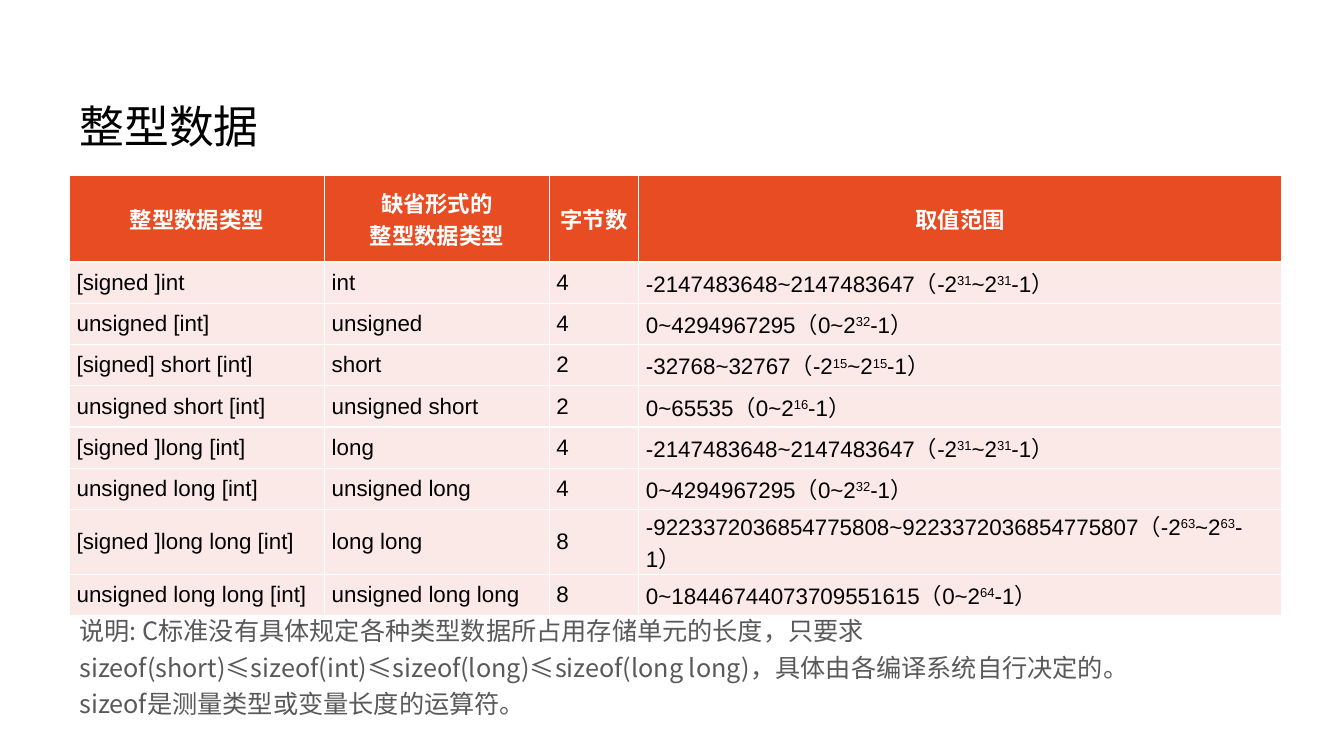
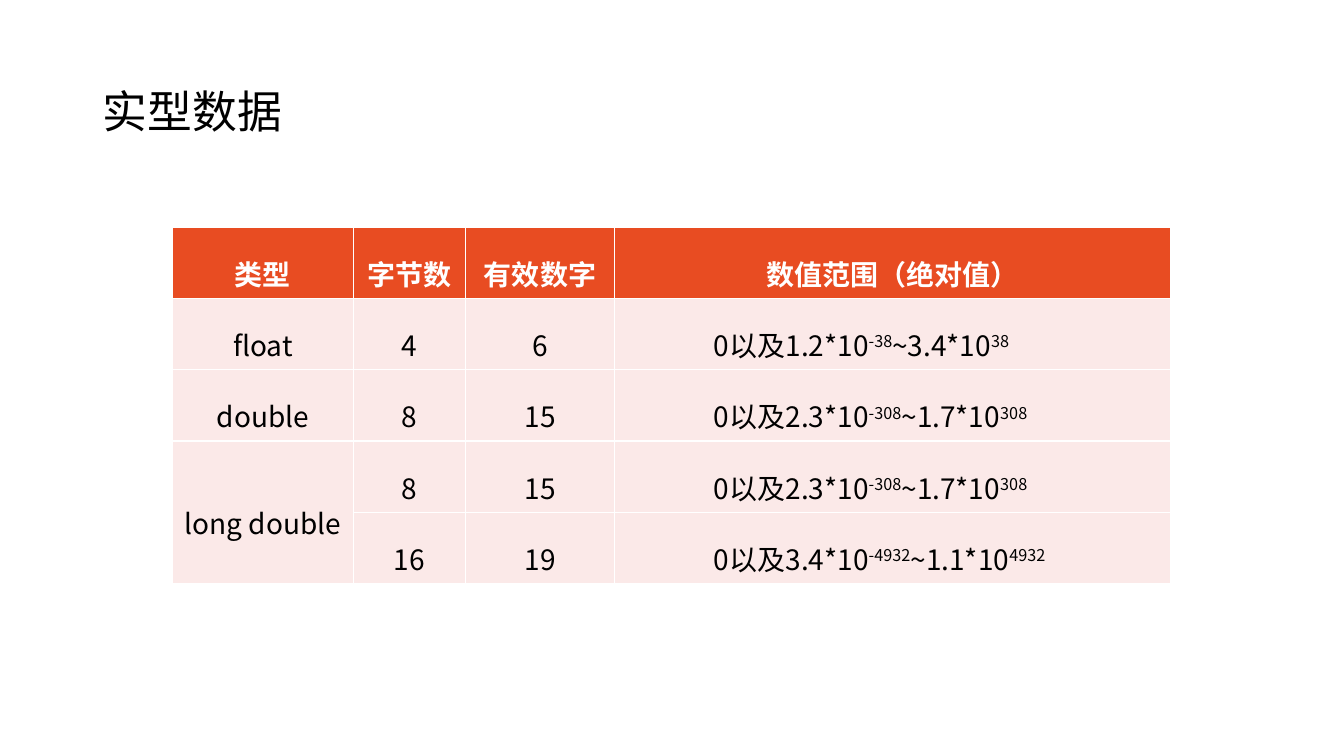
from lxml import etree
from pptx import Presentation
from pptx.dml.color import RGBColor
from pptx.enum.text import MSO_ANCHOR, PP_ALIGN
from pptx.oxml.ns import qn
from pptx.util import Cm, Pt

LEFT, CENTER, JUSTIFY = PP_ALIGN.LEFT, PP_ALIGN.CENTER, PP_ALIGN.JUSTIFY
MIDDLE = MSO_ANCHOR.MIDDLE

WHITE = RGBColor(0xFF, 0xFF, 0xFF)
BLACK = RGBColor(0x00, 0x00, 0x00)
GRAY = RGBColor(0x59, 0x59, 0x59)
ORANGE = RGBColor(0xE8, 0x4C, 0x22)
PINK = RGBColor(0xFB, 0xE9, 0xE8)

SANS = "Noto Sans CJK SC"
ARIAL = "Arial"
SUPERSCRIPT = "30000"
ROW_HEIGHT = 1.04

# Text between bars is superscript.
INTEGER_ROWS = [
    ["整型数据类型", "缺省形式的\n整型数据类型", "字节数", "取值范围"],
    ["[signed ]int", "int", "4", "-2147483648~2147483647（-2|31|~2|31|-1）"],
    ["unsigned [int]", "unsigned", "4", "0~4294967295（0~2|32|-1）"],
    ["[signed] short [int]", "short", "2", "-32768~32767（-2|15|~2|15|-1）"],
    ["unsigned short [int]", "unsigned short", "2", "0~65535（0~2|16|-1）"],
    ["[signed ]long [int]", "long", "4", "-2147483648~2147483647（-2|31|~2|31|-1）"],
    ["unsigned long [int]", "unsigned long", "4", "0~4294967295（0~2|32|-1）"],
    ["[signed ]long long [int]", "long long", "8",
     "-9223372036854775808~9223372036854775807（-2|63|~2|63|-1）"],
    ["unsigned long long [int]", "unsigned long long", "8",
     "0~18446744073709551615（0~2|64|-1）"],
]
REAL_ROWS = [
    ["类型", "字节数", "有效数字", "数值范围（绝对值）"],
    ["float", "4", "6", "0以及1.2*10|-38|~3.4*10|38|"],
    ["double", "8", "15", "0以及2.3*10|-308|~1.7*10|308|"],
    ["long double", "8", "15", "0以及2.3*10|-308|~1.7*10|308|"],
    ["", "16", "19", "0以及3.4*10|-4932|~1.1*10|4932|"],
]
NOTE = (
    "说明: C标准没有具体规定各种类型数据所占用存储单元的长度，只要求"
    "sizeof(short)≤sizeof(int)≤sizeof(long)≤sizeof(long long)，"
    "具体由各编译系统自行决定的。\n"
    "sizeof是测量类型或变量长度的运算符。"
)


class DataTypeDeck:
    """Holds the presentation, its text style and the current page."""

    def __init__(self):
        self.deck = Presentation()
        self.deck.slide_width, self.deck.slide_height = Cm(33.87), Cm(19.05)
        self.page = None

    def set_text(self, frame, text, size, color, font=SANS, bold=False,
                 align=LEFT, spacing=1.0):
        """Fill a text frame: a line per paragraph, superscript between bars."""
        for number, line in enumerate(text.split("\n")):
            para = frame.add_paragraph() if number else frame.paragraphs[0]
            para.alignment, para.line_spacing = align, spacing
            para.font.size, para.font.bold = Pt(size), bold
            para.font.color.rgb = color
            para.font.name = font
            latin = para.font._element.find(qn("a:latin"))
            east_asian = etree.Element(qn("a:ea"), typeface=SANS)
            latin.addnext(east_asian)
            for index, part in enumerate(line.split("|")):
                if not part:
                    continue
                span = para.add_run()
                span.text = part
                if index % 2:
                    span.font._element.set("baseline", SUPERSCRIPT)

    def add_page(self, title, left, top):
        self.page = self.deck.slides.add_slide(self.deck.slide_layouts[5])
        box = self.page.shapes.title
        box.left, box.top = Cm(left), Cm(top)
        box.width, box.height = Cm(29.21), Cm(3.68)
        box.text_frame.vertical_anchor = MIDDLE
        self.set_text(box.text_frame, title, 32, BLACK, spacing=0.9)

    def add_note(self, text, left, top, width, height):
        box = self.page.shapes.add_textbox(Cm(left), Cm(top), Cm(width), Cm(height))
        box.text_frame.word_wrap = True
        self.set_text(box.text_frame, text, 18, GRAY, spacing=1.2)

    def add_table(self, rows, left, top, widths, aligns, size, font=SANS,
                  spacing=1.0, header_height=ROW_HEIGHT, margins=(0.25, 0.13),
                  range_margin=None):
        """Add a table with a header row; range_margin indents the last column."""
        heights = [header_height] + [ROW_HEIGHT] * (len(rows) - 1)
        table = self.page.shapes.add_table(
            len(rows), len(widths), Cm(left), Cm(top),
            Cm(sum(widths)), Cm(sum(heights))).table
        table.horz_banding = False
        for column, width in zip(table.columns, widths):
            column.width = Cm(width)
        for row, height in zip(table.rows, heights):
            row.height = Cm(height)
        side, edge = margins
        for row_index, texts in enumerate(rows):
            header = row_index == 0
            for column_index, text in enumerate(texts):
                cell = table.cell(row_index, column_index)
                indented = (range_margin and not header
                            and column_index == len(widths) - 1)
                cell.margin_left = cell.margin_right = Cm(
                    range_margin if indented else side)
                cell.margin_top = cell.margin_bottom = Cm(edge)
                cell.vertical_anchor = MIDDLE
                cell.fill.solid()
                cell.fill.fore_color.rgb = ORANGE if header else PINK
                self.set_text(cell.text_frame, text, size,
                              WHITE if header else BLACK, font, header,
                              CENTER if header else aligns[column_index], spacing)
        return table


def main():
    types = DataTypeDeck()

    types.add_page("整型数据", 1.75, 1.4)
    types.add_table(INTEGER_ROWS, 1.75, 4.42, [6.43, 5.66, 2.26, 16.2],
                    [LEFT] * 4, 16, ARIAL, header_height=2.18, margins=(0.18, 0))
    types.add_note(NOTE, 1.75, 15.24, 30.55, 2.97)

    types.add_page("实型数据", 2.34, 1.02)
    real_table = types.add_table(
        REAL_ROWS, 4.34, 5.72, [4.57, 2.82, 3.76, 14.02],
        [CENTER, CENTER, CENTER, JUSTIFY], 20, spacing=1.5, range_margin=2.5)
    real_table.cell(3, 0).merge(real_table.cell(4, 0))

    types.deck.save("out.pptx")


if __name__ == "__main__":
    main()
